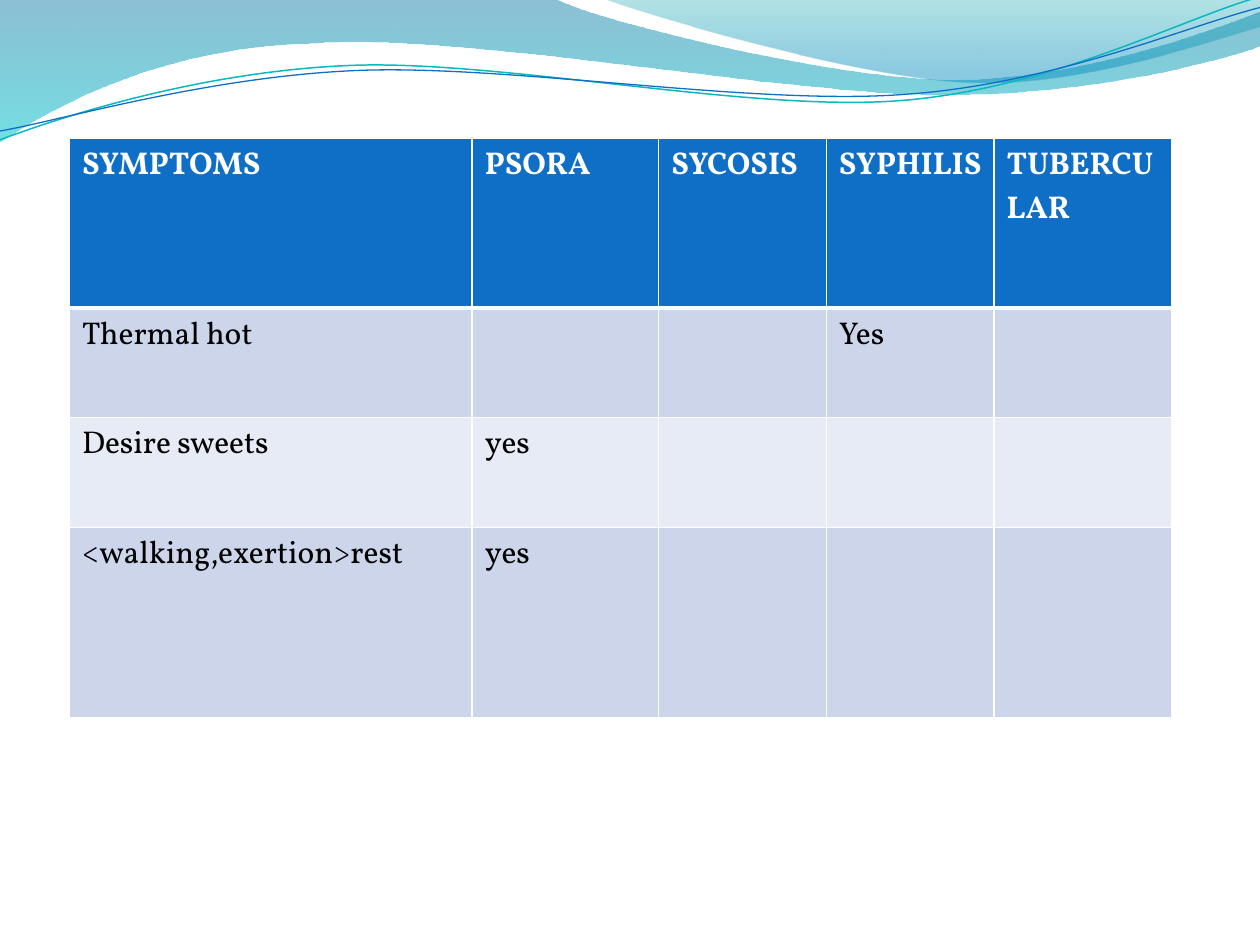
import math

import pptx
import pptx.dml.color
import pptx.oxml.ns
import pptx.util
from lxml import etree

Cm, Pt = pptx.util.Cm, pptx.util.Pt
RGB = pptx.dml.color.RGBColor.from_string
qn = pptx.oxml.ns.qn

# Content
FONT = "Vollkorn"
COLORS = {"header": "0F6FC6", "odd": "CCD5EA", "even": "E7EBF5", "white": "FFFFFF",
          "black": "000000", "teal": "0AB8BF", "blue": "0F6FC6"}
ROWS = [
    ("SYMPTOMS", "PSORA", "SYCOSIS", "SYPHILIS", "TUBERCULAR"),
    ("Thermal hot", "", "", "Yes", ""),
    ("Desire sweets", "yes", "", "", ""),
    ("<walking,exertion>rest", "yes", "", "", ""),
]
COL_WIDTHS = (8.12, 3.76, 3.38, 3.38, 3.58)
ROW_HEIGHTS = (3.43, 2.21, 2.21, 3.84)
TILT = -2.7  # degrees, for the two thin lines

# Waves in inches: a pair is a straight step, six numbers are a Bezier step
WAVES = [
    {"start": (0, 0), "stops": [(0, "0074A1", 45), (1, "00C6CF", 55)], "steps": [
        (4.4, -0.01), (4.76, 0.17, 6.64, 0.63, 7.58, 0.63),
        (8.53, 0.63, 9.58, 0.26, 10, 0.09), (10.01, 0.36),
        (9.83, 0.44, 8.7, 0.76, 7.46, 0.75), (6.22, 0.75, 3.82, 0.28, 2.57, 0.34),
        (1.29, 0.36, 0.46, 0.83, -0.01, 1.13), (0, 0)]},
    {"start": (4.79, -0.01), "stops": [(0, "00A1A9", 30), (0.8, "008BBF", 45)], "steps": [
        (5.09, 0.11, 6.82, 0.62, 7.69, 0.65), (8.56, 0.69, 9.61, 0.32, 10, 0.21),
        (10, 0), (4.79, -0.01)]},
    {"start": (0, 1.11), "line": ("teal", 0.85), "steps": [
        (0.48, 0.93, 1.58, 0.57, 2.77, 0.52), (3.95, 0.47, 5.93, 0.89, 7.13, 0.8),
        (8.33, 0.71, 9.38, 0.15, 9.98, -0.02)]},
    {"start": (0, 1.04), "line": ("blue", 0.75), "steps": [
        (0.47, 0.96, 1.64, 0.61, 2.83, 0.56), (4.03, 0.51, 5.97, 0.84, 7.17, 0.75),
        (8.36, 0.67, 9.41, 0.21, 10, 0.06)]},
]


def turn(x, y, degrees):
    """Turn a point clockwise about the slide's top left corner."""
    a = math.radians(degrees)
    return x * math.cos(a) - y * math.sin(a), x * math.sin(a) + y * math.cos(a)


def bend(sp, steps):
    """Join the straight segments of each Bezier step into one curve."""
    segments = iter(list(sp.element.iter(qn("a:lnTo"))))
    for step in steps:
        group = [next(segments) for _ in range(len(step) // 2)]
        if len(group) == 3:
            curve = etree.Element(qn("a:cubicBezTo"))
            group[0].addprevious(curve)
            for segment in group:
                curve.append(segment[0])
                segment.getparent().remove(segment)


def add_wave(s, wave):
    tilt = TILT if "line" in wave else 0
    pairs = [wave["start"]]
    for step in wave["steps"]:
        pairs += zip(step[::2], step[1::2])
    points = [turn(Cm(2.54 * x), Cm(2.54 * y), -tilt) for x, y in pairs]
    builder = s.shapes.build_freeform(*points[0])
    builder.add_line_segments(points[1:], close="stops" in wave)
    sp = builder.convert_to_shape()
    bend(sp, wave["steps"])
    sp.shadow.inherit = False
    if "line" in wave:
        # Put the centre back where the tilt needs it
        x, y = turn(sp.left + sp.width / 2, sp.top + sp.height / 2, tilt)
        sp.left, sp.top = int(x - sp.width / 2), int(y - sp.height / 2)
        sp.rotation = tilt
        color, width = wave["line"]
        sp.fill.background()
        sp.line.color.rgb = RGB(COLORS[color])
        sp.line.width = Pt(width)
        return
    sp.line.fill.background()
    sp.fill.gradient()
    sp.fill.gradient_angle = 270
    for stop, (position, color, _) in zip(sp.fill.gradient_stops, wave["stops"]):
        stop.position = position
        stop.color.rgb = RGB(color)
    for clr, (_, _, alpha) in zip(sp.element.spPr.iter(qn("a:srgbClr")), wave["stops"]):
        etree.SubElement(clr, qn("a:alpha"), val=str(alpha * 1000))


def set_borders(cell, widths):
    tcPr = cell._tc.get_or_add_tcPr()
    for side, width in widths.items():
        ln = etree.SubElement(tcPr, qn("a:ln" + side), w=str(Pt(width)))
        fill = etree.SubElement(ln, qn("a:solidFill"))
        etree.SubElement(fill, qn("a:srgbClr"), val=COLORS["white"])


prs = pptx.Presentation()
prs.slide_width, prs.slide_height = Cm(25.4), Cm(19.05)
s = prs.slides.add_slide(prs.slide_layouts[6])

# Wave decoration
for wave in WAVES:
    add_wave(s, wave)

# Symptom table
table = s.shapes.add_table(len(ROWS), len(COL_WIDTHS), Cm(1.4), Cm(2.78),
                           Cm(sum(COL_WIDTHS)), Cm(sum(ROW_HEIGHTS))).table
for column, width in zip(table.columns, COL_WIDTHS):
    column.width = Cm(width)
for i, (texts, height) in enumerate(zip(ROWS, ROW_HEIGHTS)):
    table.rows[i].height = Cm(height)
    header = i == 0
    fill = "header" if header else "odd" if i % 2 else "even"
    for j, text in enumerate(texts):
        cell = table.cell(i, j)
        if header:
            set_borders(cell, {"L": 1, "R": 1, "T": 1, "B": 3})
        cell.fill.solid()
        cell.fill.fore_color.rgb = RGB(COLORS[fill])
        if text:
            r = cell.text_frame.paragraphs[0].add_run()
            r.text = text
            r.font.name, r.font.size, r.font.bold = FONT, Pt(18), header
            r.font.color.rgb = RGB(COLORS["white" if header else "black"])

prs.save("out.pptx")
